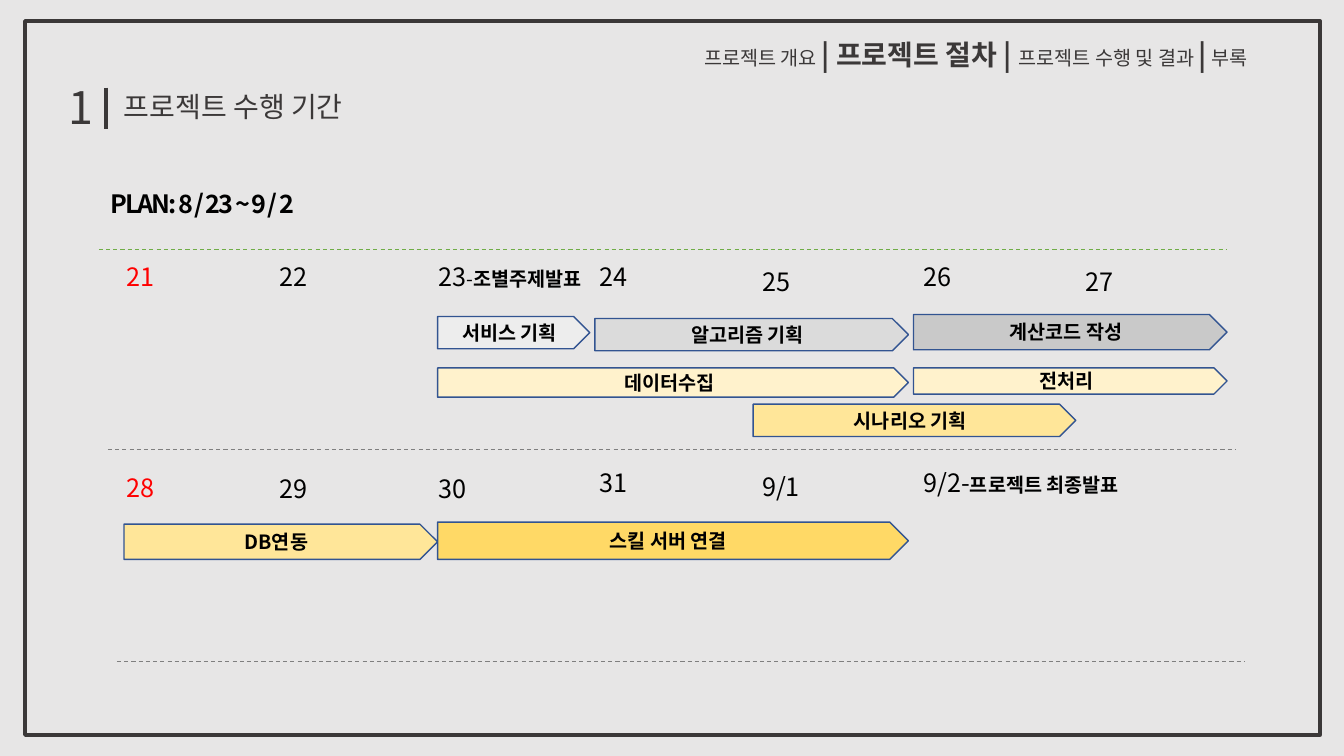
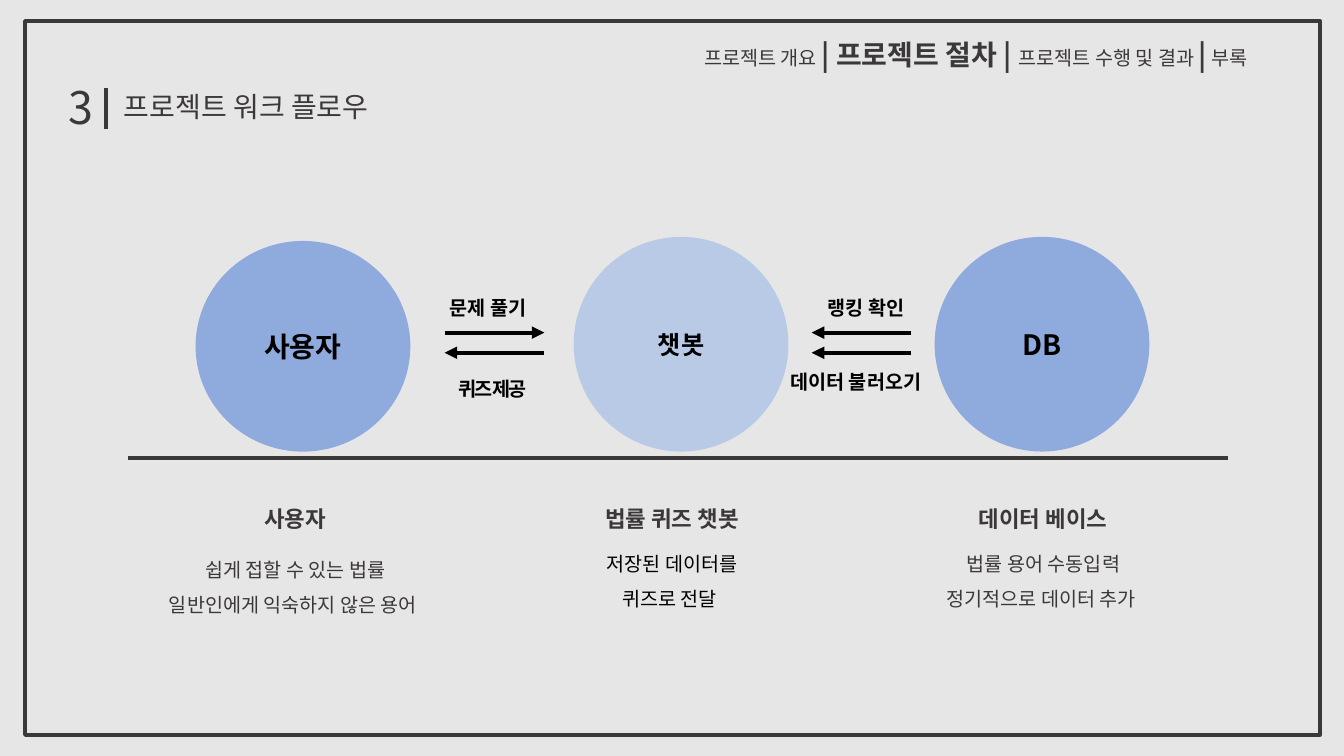
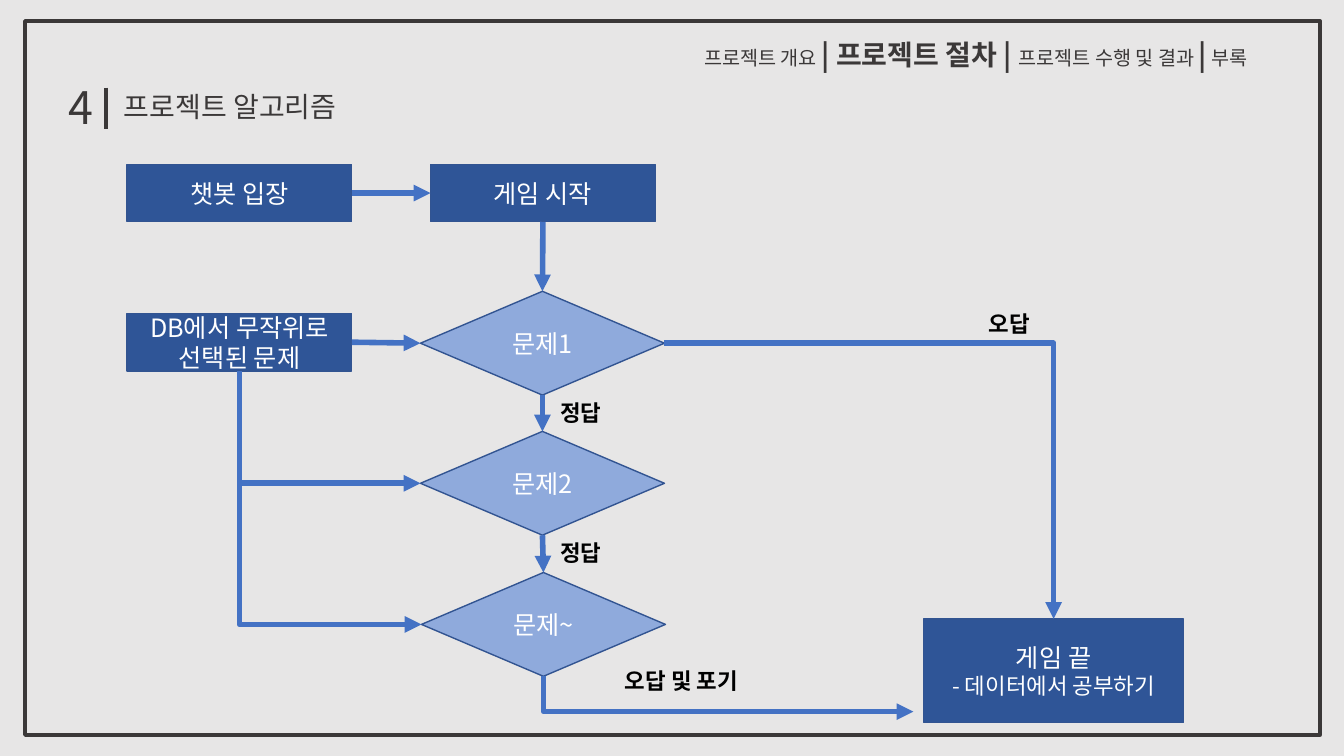
from dataclasses import dataclass
from typing import NamedTuple, Optional

import lxml.etree
import pptx
import pptx.dml.color
import pptx.enum.dml
import pptx.enum.shapes
import pptx.enum.text
import pptx.oxml.ns
import pptx.util

PX = 9144  # 100 px to the inch
FONT = "Noto Sans CJK KR"
COLORS = {
    "paper": "E7E6E6", "ink": "3B3838", "black": "000000", "white": "FFFFFF",
    "sunday": "FF0000", "green": "70AD47", "gray": "7F7F7F", "outline": "325491",
    "gray1": "EDEDED", "gray2": "DBDBDB", "gray3": "C9C9C9",
    "gold1": "FFF2CC", "gold2": "FFE699", "gold3": "FFD966",
    "navy": "2F5597", "blue": "8FAADC", "pale_blue": "B4C7E7", "arrow": "4472C4",
}
PRESET = pptx.enum.shapes.MSO_SHAPE
CONNECTOR = pptx.enum.shapes.MSO_CONNECTOR
ALIGN = pptx.enum.text.PP_ALIGN
TOP, LEFT, BOTTOM, RIGHT = range(4)


class Box(NamedTuple):
    x: int
    y: int
    w: int
    h: int


class Run(NamedTuple):
    text: str
    size: int
    color: str = "black"
    bold: bool = False
    tracking: int = 0


class Task(NamedTuple):
    name: str
    box: Box
    fill: str


class Day(NamedTuple):
    x: int
    y: int
    w: int
    date: str
    event: str = ""
    dash_size: int = 18
    color: str = "black"


@dataclass
class Actor:
    circle: Box
    circle_run: Run
    fill: str
    opacity: int
    title: str
    title_box: Box
    details: tuple[str, str]
    details_box: Box
    details_color: str = "ink"


@dataclass
class Block:
    preset: int
    box: Box
    paragraphs: list[list[Run]]
    fill: str


def px(value: float) -> int:
    return round(value * PX)


def rgb(name: str):
    return pptx.dml.color.RGBColor.from_string(COLORS[name])


def add_child(parent, tag: str, **attributes: str):
    return lxml.etree.SubElement(parent, pptx.oxml.ns.qn(tag), **attributes)


def write(frame, paragraphs: list[list[Run]], align=ALIGN.LEFT,
          line_spacing: Optional[float] = None) -> None:
    for index, runs in enumerate(paragraphs):
        paragraph = frame.add_paragraph() if index else frame.paragraphs[0]
        paragraph.alignment = align
        if line_spacing:
            paragraph.line_spacing = line_spacing
        for item in runs:
            run = paragraph.add_run()
            run.text = item.text
            run.font.size = pptx.util.Pt(item.size)
            run.font.bold = item.bold
            run.font.color.rgb = rgb(item.color)
            run.font.name = FONT
            properties = run._r.get_or_add_rPr()
            add_child(properties, "a:ea", typeface=FONT)
            if item.tracking:
                properties.set("spc", str(item.tracking))


def add_text(slide, box: Box, paragraphs: list[list[Run]], align=ALIGN.LEFT,
             line_spacing: Optional[float] = None, wrap: bool = True) -> None:
    frame = slide.shapes.add_textbox(*map(px, box)).text_frame
    frame.word_wrap = wrap
    frame.auto_size = pptx.enum.text.MSO_AUTO_SIZE.SHAPE_TO_FIT_TEXT
    write(frame, paragraphs, align, line_spacing)


def add_block(slide, preset, box: Box, paragraphs: list[list[Run]],
              fill: Optional[str], line: Optional[str] = "outline",
              line_width: int = 1, opacity: int = 100):
    shape = slide.shapes.add_shape(preset, *map(px, box))
    shape.shadow.inherit = False
    if fill:
        shape.fill.solid()
        shape.fill.fore_color.rgb = rgb(fill)
        if opacity < 100:
            tint = shape.element.spPr.find(".//" + pptx.oxml.ns.qn("a:srgbClr"))
            add_child(tint, "a:alpha", val=str(opacity * 1000))
    else:
        shape.fill.background()
    if line:
        shape.line.color.rgb = rgb(line)
        shape.line.width = pptx.util.Pt(line_width)
    else:
        shape.line.fill.background()
    frame = shape.text_frame
    frame.word_wrap = True
    frame.vertical_anchor = pptx.enum.text.MSO_ANCHOR.MIDDLE
    write(frame, paragraphs, ALIGN.CENTER)
    return shape


def add_line(slide, start: tuple[int, int], end: tuple[int, int], color: str,
             width: float, arrow: bool = False, dashed: bool = False,
             kind=CONNECTOR.STRAIGHT):
    line = slide.shapes.add_connector(kind, *map(px, start + end))
    line.line.color.rgb = rgb(color)
    line.line.width = pptx.util.Pt(width)
    if dashed:
        line.line.dash_style = pptx.enum.dml.MSO_LINE.DASH
    properties = line.element.spPr
    if arrow:
        add_child(properties.find(pptx.oxml.ns.qn("a:ln")), "a:tailEnd", type="triangle")
    add_child(properties, "a:effectLst")
    return line


def add_flow(slide, source, source_side: int, target, target_side: int) -> None:
    flow = add_line(slide, (0, 0), (0, 0), "arrow", 4, arrow=True)
    flow.begin_connect(source, source_side)
    flow.end_connect(target, target_side)


def add_elbow(slide, source, source_side: int, target=None, target_side: int = LEFT,
              end: tuple[int, int] = (0, 0)) -> None:
    """Draw a one-bend arrow running right and down; it leaves along source_side."""
    elbow = add_line(slide, (0, 0), end, "arrow", 4, arrow=True, kind=CONNECTOR.ELBOW)
    elbow.begin_connect(source, source_side)
    if target is not None:
        elbow.end_connect(target, target_side)
    properties = elbow.element.spPr
    properties.find(pptx.oxml.ns.qn("a:prstGeom")).set("prst", "bentConnector2")
    if source_side == BOTTOM:
        across, down = elbow.width, elbow.height
        elbow.left += (across - down) // 2
        elbow.top += (down - across) // 2
        elbow.width, elbow.height = down, across
        transform = properties.find(pptx.oxml.ns.qn("a:xfrm"))
        transform.set("rot", "16200000")
        transform.set("flipH", "1")


def start_slide(deck, number: str, title: str):
    """Add a slide with the shared frame, section trail and numbered title."""
    slide = deck.slides.add_slide(deck.slide_layouts[6])
    slide.background.fill.solid()
    slide.background.fill.fore_color.rgb = rgb("paper")
    add_block(slide, PRESET.RECTANGLE, Box(25, 21, 1284, 708), [], None, "ink", 3)
    trail = [
        Run("프로젝트 개요 ", 14, "ink"),
        Run("| 프로젝트 절차 | ", 20, "ink", True),
        Run("프로젝트 수행 및 결과 ", 14, "ink"),
        Run("|", 20, "ink", True),
        Run(" 부록", 14, "ink"),
        Run(" ", 20, "ink", True),
    ]
    add_text(slide, Box(650, 32, 642, 44), [trail], ALIGN.CENTER)
    add_text(slide, Box(58, 74, 56, 64), [[Run(number, 32, "ink")]])
    add_text(slide, Box(113, 84, 476, 44), [[Run(title, 20, "ink")]])
    add_line(slide, (105, 87), (105, 128), "ink", 3)
    return slide


def build_schedule(deck) -> None:
    slide = start_slide(deck, "1", "프로젝트 수행 기간")
    add_text(slide, Box(100, 182, 228, 40),
             [[Run("PLAN: 8 / 23 ~ 9 / 2", 18, bold=True, tracking=-150)]], wrap=False)
    for index, (y, color) in enumerate([(248, "green"), (446, "gray"), (656, "gray")]):
        x = 98 + 9 * index
        add_line(slide, (x, y), (x + 1119, y), color, 0.75, dashed=True)

    days = [
        Day(116, 254, 48, "21", color="sunday"),
        Day(267, 254, 48, "22"),
        Day(425, 254, 174, "23", "조별주제발표", 14),
        Day(585, 254, 48, "24"),
        Day(746, 259, 48, "25"),
        Day(906, 254, 48, "26"),
        Day(1067, 259, 48, "27"),
        Day(116, 464, 48, "28", color="sunday"),
        Day(267, 465, 48, "29"),
        Day(425, 465, 48, "30"),
        Day(585, 459, 48, "31"),
        Day(746, 463, 58, "9/1"),
        Day(906, 459, 232, "9/2", "프로젝트 최종발표"),
    ]
    for day in days:
        runs = [Run(day.date, 18, day.color)]
        if day.event:
            runs += [Run("-", day.dash_size), Run(day.event, 14, bold=True)]
        add_text(slide, Box(day.x, day.y, day.w, 40 if day.event else 50), [runs], wrap=False)

    tasks = [
        Task("서비스 기획", Box(434, 314, 151, 32), "gray1"),
        Task("데이터수집", Box(434, 365, 467, 29), "gold1"),
        Task("알고리즘 기획", Box(590, 316, 311, 32), "gray2"),
        Task("시나리오 기획", Box(747, 401, 320, 32), "gold2"),
        Task("계산코드 작성", Box(906, 312, 311, 35), "gray3"),
        Task("DB연동", Box(123, 520, 311, 35), "gold2"),
        Task("스킬 서버 연결", Box(434, 518, 467, 37), "gold3"),
        Task("전처리", Box(906, 365, 311, 26), "gold1"),
    ]
    for task in tasks:
        add_block(slide, PRESET.PENTAGON, task.box, [[Run(task.name, 14, bold=True)]], task.fill)


def build_workflow(deck) -> None:
    slide = start_slide(deck, "3", "프로젝트 워크 플로우")
    add_line(slide, (127, 454), (1218, 454), "ink", 3)
    actors = [
        Actor(Box(194, 239, 213, 209), Run("사용자", 20, bold=True), "blue", 100,
              "사용자", Box(197, 496, 191, 37),
              ("쉽게 접할 수 있는 법률", "일반인에게 익숙하지 않은 용어 "), Box(143, 537, 300, 75)),
        Actor(Box(569, 235, 213, 213), Run("챗봇", 18, bold=True), "pale_blue", 90,
              "법률 퀴즈 챗봇", Box(571, 496, 191, 37),
              ("저장된 데이터를", "퀴즈로 전달 "), Box(550, 531, 233, 76), "black"),
        Actor(Box(927, 235, 213, 213), Run("DB", 20, bold=True), "blue", 100,
              "데이터 베이스", Box(916, 496, 237, 37),
              ("법률 용어 수동입력", "정기적으로 데이터 추가 "), Box(892, 531, 286, 75)),
    ]
    for actor in actors:
        add_block(slide, PRESET.OVAL, actor.circle, [[actor.circle_run]], actor.fill,
                  line=None, opacity=actor.opacity)
        add_text(slide, actor.title_box, [[Run(actor.title, 16, "ink", True)]], ALIGN.CENTER)
        add_text(slide, actor.details_box,
                 [[Run(detail, 14, actor.details_color)] for detail in actor.details],
                 ALIGN.CENTER, 1.5)

    for start_x, end_x, y in [(441, 540, 330), (540, 441, 350),
                              (904, 805, 330), (904, 805, 350)]:
        add_line(slide, (start_x, y), (end_x, y), "black", 3, arrow=True)

    messages = [
        ("문제 풀기", Box(436, 284, 104, 35), 0, ALIGN.LEFT),
        ("퀴즈 제공", Box(445, 364, 104, 35), -150, ALIGN.LEFT),
        ("랭킹 확인", Box(774, 284, 170, 35), 0, ALIGN.CENTER),
        ("데이터 불러오기", Box(774, 357, 170, 35), 0, ALIGN.LEFT),
    ]
    for message, box, tracking, align in messages:
        add_text(slide, box, [[Run(message, 14, bold=True, tracking=tracking)]], align, 1.2)


def build_algorithm(deck) -> None:
    slide = start_slide(deck, "4", "프로젝트 알고리즘")

    def step(x: int, y: int, text: str) -> Block:
        return Block(PRESET.RECTANGLE, Box(x, y, 223, 57), [[Run(text, 18, "white")]], "navy")

    def question(x: int, y: int, text: str) -> Block:
        return Block(PRESET.FLOWCHART_DECISION, Box(x, y, 242, 103),
                     [[Run(text, 18, "white")]], "blue")

    blocks = [
        step(126, 163, "챗봇 입장"),
        step(427, 163, "게임 시작"),
        step(126, 311, "DB에서 무작위로 선택된 문제"),
        question(417, 289, "문제1"),
        question(417, 428, "문제2"),
        question(418, 568, "문제~"),
        Block(PRESET.RECTANGLE, Box(916, 614, 258, 103),
              [[Run("게임 끝", 18, "white")], [Run("- 데이터에서 공부하기", 16, "white")]], "navy"),
    ]
    entry, game_start, pool, first, second, later, game_end = [
        add_block(slide, block.preset, block.box, block.paragraphs, block.fill)
        for block in blocks
    ]

    add_flow(slide, entry, RIGHT, game_start, LEFT)
    add_flow(slide, pool, RIGHT, first, LEFT)
    for upper, lower in [(game_start, first), (first, second), (second, later)]:
        add_flow(slide, upper, BOTTOM, lower, TOP)
    add_elbow(slide, first, RIGHT, game_end, TOP)
    add_elbow(slide, pool, BOTTOM, later)
    add_elbow(slide, pool, BOTTOM, second)
    add_elbow(slide, later, BOTTOM, end=(906, 706))

    for answer, box in [("정답", Box(546, 391, 71, 37)), ("정답", Box(546, 530, 71, 37)),
                        ("오답 및 포기", Box(610, 657, 157, 37)), ("오답", Box(971, 303, 70, 37))]:
        add_text(slide, box, [[Run(answer, 16, bold=True)]])


def main() -> None:
    deck = pptx.Presentation()
    deck.slide_width, deck.slide_height = px(1333), px(750)
    build_schedule(deck)
    build_workflow(deck)
    build_algorithm(deck)
    deck.save("out.pptx")


if __name__ == "__main__":
    main()
